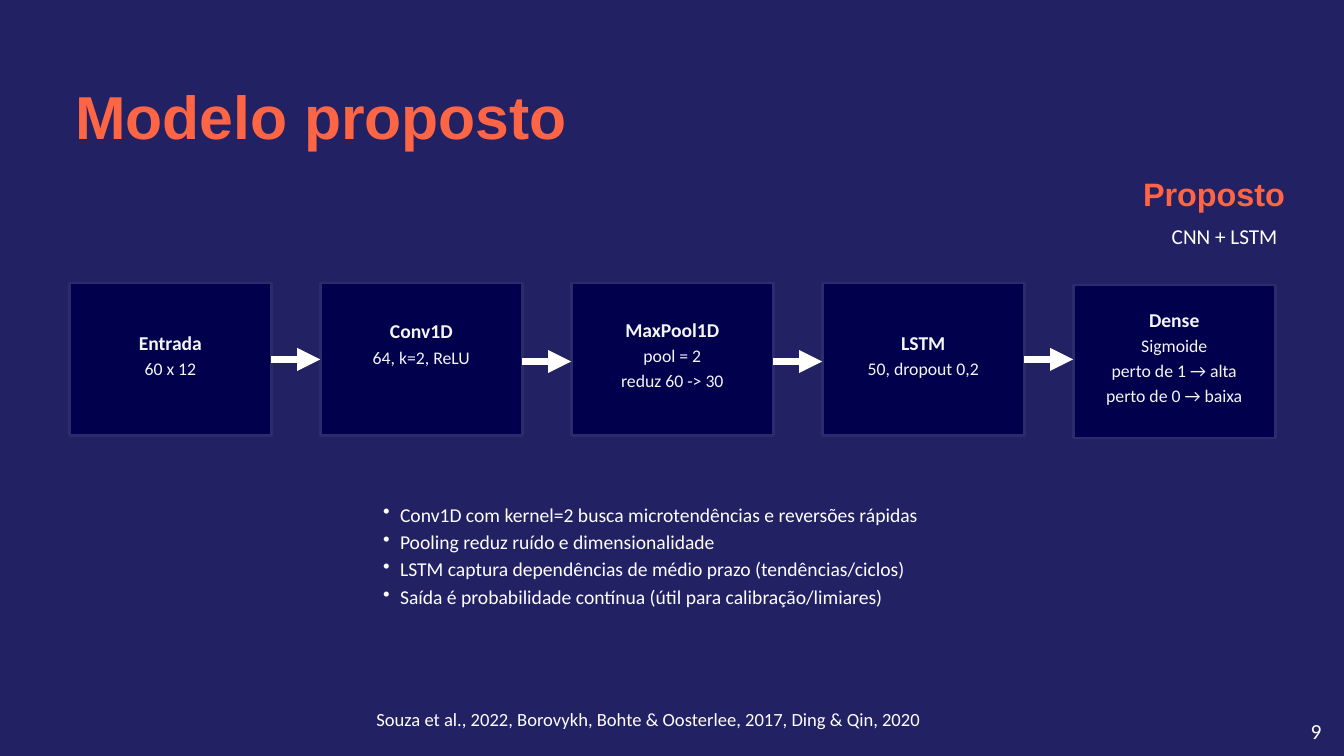
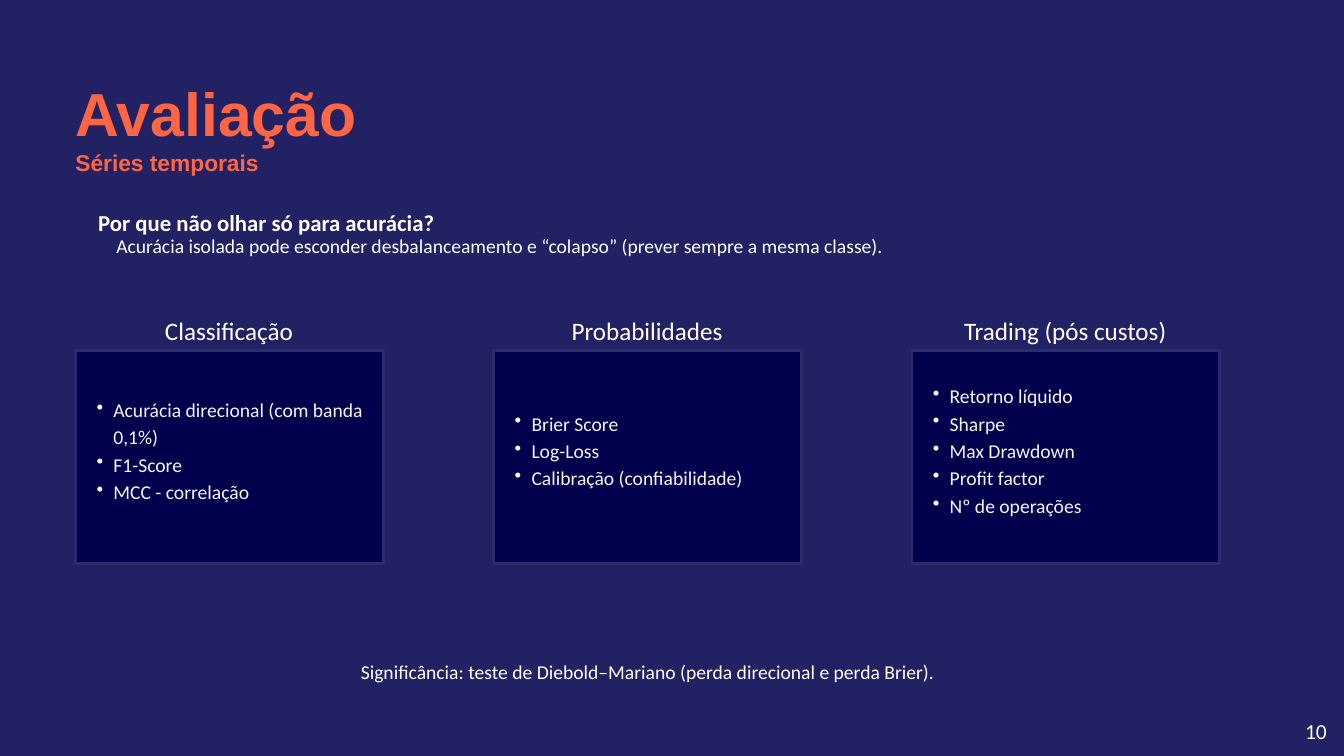
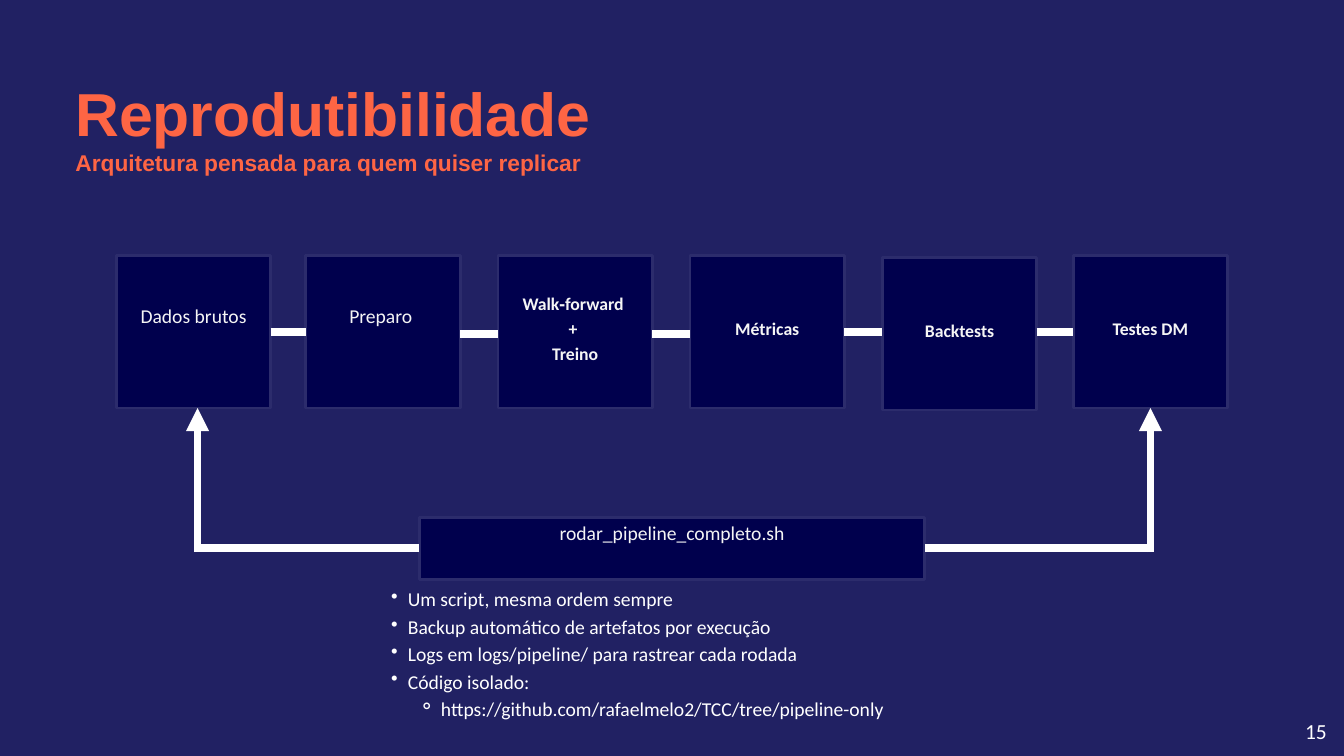
from pptx import Presentation
from pptx.dml.color import RGBColor
from pptx.enum.shapes import MSO_CONNECTOR, MSO_SHAPE
from pptx.enum.text import MSO_ANCHOR, PP_ALIGN
from pptx.oxml.ns import qn
from pptx.oxml.xmlchemy import OxmlElement
from pptx.util import Pt

STRAIGHT = MSO_CONNECTOR.STRAIGHT
RECTANGLE = MSO_SHAPE.RECTANGLE
TOP, MIDDLE = MSO_ANCHOR.TOP, MSO_ANCHOR.MIDDLE
LEFT, CENTER = PP_ALIGN.LEFT, PP_ALIGN.CENTER

WIDTH, HEIGHT = 1440, 810
NAVY, PANEL, EDGE = "212163", "00004D", "2C2C6C"
ORANGE, WHITE, SOFT = "FE6544", "FFFFFF", "F5F5F5"
HEAD_FONT, BODY_FONT = "Arial", "Calibri"
LINE_WEIGHT = 8.25
CARD_INSET = 4.3
LIFT = 14.2        # how far a card's text box rises above the card
HIGH_LIFT = 51.2   # the same, for cards whose text sits higher
# bullet level: (character, left margin, hanging indent)
BULLETS = {1: ("•", 36, 18), 2: ("⚬", 71.5, 24)}


def color(hex_string):
    return RGBColor.from_string(hex_string)


def line_of(text, size=21, spacing=29.4, bold=False, bullet=0):
    """Describe one paragraph that differs from its box's format."""
    return {"text": text, "size": size, "spacing": spacing, "bold": bold, "bullet": bullet}


def bullets(*items):
    return [line_of(item, bullet=1) for item in items]


def add_bullet(paragraph, level):
    character, margin, hanging = BULLETS[level]
    paragraph.level = level
    properties = paragraph._p.get_or_add_pPr()
    properties.set("marL", str(Pt(margin)))
    properties.set("indent", str(-Pt(hanging)))
    mark = OxmlElement("a:buChar")
    mark.set("char", character)
    properties.append(mark)


def add_text(slide, box, content, *, size=21, spacing=29.4, bold=False, font=BODY_FONT,
             fill=WHITE, align=LEFT, anchor=TOP, inset=0):
    """Content is a string, or a list of paragraphs from line_of."""
    if isinstance(content, str):
        content = [line_of(content, size, spacing, bold)]
    frame = slide.shapes.add_textbox(*map(Pt, box)).text_frame
    frame.word_wrap = True
    frame.vertical_anchor = anchor
    frame.margin_left = frame.margin_right = Pt(inset)
    frame.margin_top = frame.margin_bottom = Pt(inset)
    for index, line in enumerate(content):
        paragraph = frame.add_paragraph() if index else frame.paragraphs[0]
        paragraph.alignment = align
        paragraph.line_spacing = Pt(line["spacing"])
        if line["bullet"]:
            add_bullet(paragraph, line["bullet"])
        run = paragraph.add_run()
        run.text = line["text"]
        run.font.name = font
        run.font.size = Pt(line["size"])
        run.font.bold = line["bold"]
        run.font.color.rgb = color(fill)


def add_line(slide, start, end, arrow=False):
    connector = slide.shapes.add_connector(STRAIGHT, *map(Pt, (*start, *end)))
    connector.line.color.rgb = color(WHITE)
    connector.line.width = Pt(LINE_WEIGHT)
    properties = connector.element.spPr
    if arrow:
        head = OxmlElement("a:tailEnd")
        head.set("type", "triangle")
        properties.find(qn("a:ln")).append(head)
    properties.append(OxmlElement("a:effectLst"))


def add_card(slide, box, content, lift=LIFT, align=CENTER):
    """Dark panel with text centred in a box that rises above it by lift."""
    left, top, width, height = box
    panel = slide.shapes.add_shape(RECTANGLE, *map(Pt, box))
    panel.shadow.inherit = False
    panel.fill.solid()
    panel.fill.fore_color.rgb = color(PANEL)
    panel.line.color.rgb = color(EDGE)
    panel.line.width = Pt(3)
    add_text(slide, (left, top - lift, width, height + lift), content, fill=SOFT,
             align=align, anchor=MIDDLE, inset=CARD_INSET)


def add_flow(slide, box, cards, arrow):
    """Row of linked cards; box is the first card's (left ignored for the others).

    Each card is (left, drop, lift, link drop, paragraphs)."""
    _, top, width, height = box
    previous_right = None
    for left, drop, lift, link_drop, content in cards:
        add_card(slide, (left, top + drop, width, height), content, lift)
        if previous_right is not None:
            link_y = top + height / 2 + link_drop
            add_line(slide, (previous_right, link_y), (left, link_y), arrow)
        previous_right = left + width


def add_base(presentation, number):
    """Blank slide with the background and page number."""
    slide = presentation.slides.add_slide(presentation.slide_layouts[6])
    slide.background.fill.solid()
    slide.background.fill.fore_color.rgb = color(NAVY)
    width = 13.5 * len(number)
    add_text(slide, (1410 - width / 2, 764.6, width, 31), number,
             size=23, spacing=32.2, align=CENTER)
    return slide


def add_heading(slide, box, text, size, spacing):
    add_text(slide, box, text, size=size, spacing=spacing, bold=True,
             font=HEAD_FONT, fill=ORANGE)


def add_title_pair(slide, title, subtitle):
    add_heading(slide, (80.8, 82.1, 868, 77), title, 65, 76.7)
    add_heading(slide, (80.8, 159.8, 640, 28), subtitle, 24.4, 28.8)


def build_model_slide(presentation):
    slide = add_base(presentation, "9")
    add_heading(slide, (80.8, 71.3, 984, 88.6), "Modelo proposto", 65, 91)
    add_heading(slide, (1224.7, 180, 175, 45.4), "Proposto", 34.7, 48.6)
    add_text(slide, (1246, 234.7, 132, 29.5), "CNN + LSTM",
             size=22.7, spacing=31.8, align=CENTER)

    # Network layers
    layers = [
        (0, LIFT, 0, 29.4, "Entrada", ["60 x 12"]),
        (0, HIGH_LIFT, 0, 42, "Conv1D", ["64, k=2, ReLU"]),
        (0, LIFT, 2.2, 29.4, "MaxPool1D", ["pool = 2", "reduz 60 -> 30"]),
        (0, LIFT, 2.2, 29.4, "LSTM", ["50, dropout 0,2"]),
        (2.2, LIFT, 0, 29.4, "Dense", ["Sigmoide", "perto de 1 → alta", "perto de 0 → baixa"]),
    ]
    first, step = 74.2, 268.9
    # The second link hangs from the third card, so link drops follow the target card
    cards = [
        (first + index * step, drop, lift, link_drop,
         [line_of(name, 21, spacing, True)] + [line_of(detail, 19, 26.6) for detail in details])
        for index, (drop, lift, link_drop, spacing, name, details) in enumerate(layers)
    ]
    add_flow(slide, (first, 303.2, 216.6, 163.8), cards, arrow=True)

    # Reasons and sources
    add_text(slide, (392.6, 534.2, 655, 117), bullets(
        "Conv1D com kernel=2 busca microtendências e reversões rápidas",
        "Pooling reduz ruído e dimensionalidade",
        "LSTM captura dependências de médio prazo (tendências/ciclos)",
        "Saída é probabilidade contínua (útil para calibração/limiares)"))
    add_text(slide, (403.2, 754.6, 636, 26.6),
             "Souza et al., 2022, Borovykh, Bohte & Oosterlee, 2017, Ding & Qin, 2020",
             size=19.9, spacing=27.8)


def build_evaluation_slide(presentation):
    slide = add_base(presentation, "10")
    add_title_pair(slide, "Avaliação", "Séries temporais")
    add_text(slide, (80.6, 203.8, 409, 44), "Por que não olhar só para acurácia?",
             size=24.4, spacing=48.8, bold=True, align=CENTER)

    # Metric groups: heading width, heading, metrics
    groups = [
        (159, "Classificação",
         ["Acurácia direcional (com banda 0,1%)", "F1-Score", "MCC - correlação"]),
        (182, "Probabilidades", ["Brier Score", "Log-Loss", "Calibração (confiabilidade)"]),
        (246, "Trading (pós custos)",
         ["Retorno líquido", "Sharpe", "Max Drawdown", "Profit factor", "Nº de operações"]),
    ]
    card_width = 329.6
    for index, (heading_width, heading, metrics) in enumerate(groups):
        left = 81.2 + index * 448
        add_card(slide, (left, 375.2, card_width, 229), bullets(*metrics), 18, LEFT)
        add_text(slide, (left + (card_width - heading_width) / 2 - 0.8, 316.8, heading_width, 48),
                 heading, size=26.9, spacing=53.8, align=CENTER)

    # Remarks
    add_text(slide, (80.6, 234, 909.4, 39),
             "Acurácia isolada pode esconder desbalanceamento e “colapso” "
             "(prever sempre a mesma classe).", spacing=42, align=CENTER)
    add_text(slide, (358.6, 690.5, 670.3, 39),
             "Significância: teste de Diebold–Mariano (perda direcional e perda Brier).",
             spacing=42, align=CENTER)


def build_pipeline_slide(presentation):
    slide = add_base(presentation, "15")
    add_title_pair(slide, "Reprodutibilidade", "Arquitetura pensada para quem quiser replicar")

    # Pipeline steps
    def plain(text):
        return [line_of(text, 21, 42)]

    def strong(*texts):
        return [line_of(text, 19, 26.6, True) for text in texts]

    low = 11.5
    cards = [
        (124.6, 0, HIGH_LIFT, 0, plain("Dados brutos")),
        (327.6, 0, HIGH_LIFT, 0, plain("Preparo ")),
        (533.5, 0, low, 2.2, strong("Walk‑forward ", "+ ", "Treino")),
        (739.4, 0, low, 2.2, strong("Métricas")),
        (945.4, 2.2, low, 0, strong("Backtests")),
        (1149.8, 0, low, 0, strong("Testes DM")),
    ]
    step_box = (124.6, 273.6, 165.4, 163.6)
    add_flow(slide, step_box, cards, arrow=False)

    # Script that runs the whole pipeline, linked to both ends
    script_left, script_width, link_y = 449.2, 541.8, 587.5
    add_card(slide, (script_left, 554.4, script_width, 66.2),
             plain("rodar_pipeline_completo.sh"), HIGH_LIFT)
    steps_bottom = step_box[1] + step_box[3]
    for edge, target in ((script_left + script_width, 1232.6), (script_left, 211.7)):
        add_line(slide, (edge, link_y), (target, link_y))
        add_line(slide, (target, link_y + LINE_WEIGHT / 2), (target, steps_bottom), arrow=True)

    add_text(slide, (401, 625, 583, 145.4), bullets(
        "Um script, mesma ordem sempre",
        "Backup automático de artefatos por execução",
        "Logs em logs/pipeline/ para rastrear cada rodada",
        "Código isolado:",
    ) + [line_of("https://github.com/rafaelmelo2/TCC/tree/pipeline-only", bullet=2)])


def main():
    presentation = Presentation()
    presentation.slide_width, presentation.slide_height = Pt(WIDTH), Pt(HEIGHT)
    build_model_slide(presentation)
    build_evaluation_slide(presentation)
    build_pipeline_slide(presentation)
    presentation.save("out.pptx")


if __name__ == "__main__":
    main()
